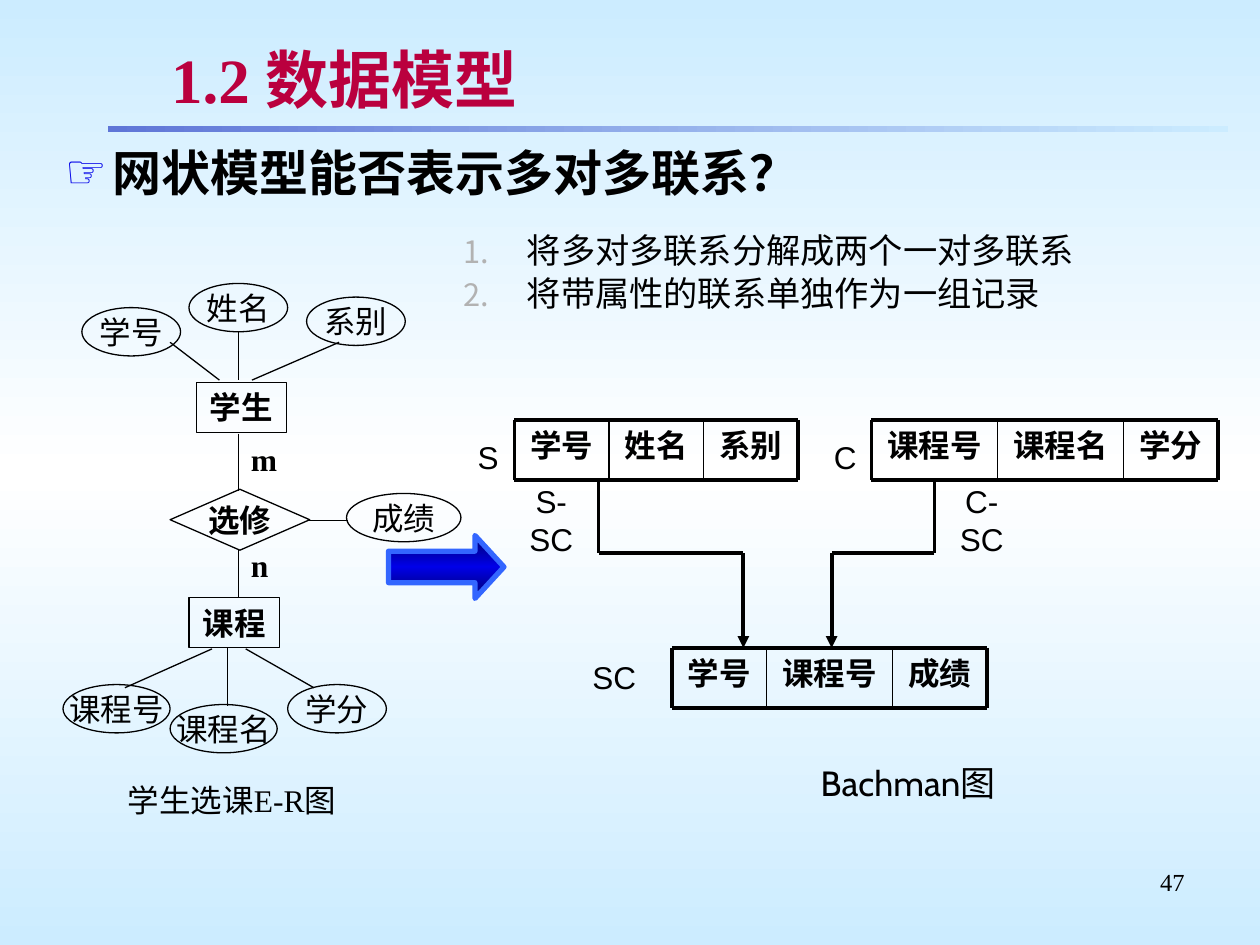
from copy import deepcopy

from lxml.etree import SubElement
from pptx import Presentation
from pptx.dml.color import RGBColor
from pptx.enum.shapes import MSO_CONNECTOR, MSO_SHAPE
from pptx.enum.text import MSO_ANCHOR, MSO_AUTO_SIZE, PP_ALIGN
from pptx.oxml.ns import qn
from pptx.util import Inches, Pt

LEFT, CENTER, RIGHT = PP_ALIGN.LEFT, PP_ALIGN.CENTER, PP_ALIGN.RIGHT
TOP, MIDDLE = MSO_ANCHOR.TOP, MSO_ANCHOR.MIDDLE
RECT, OVAL, DIAMOND, ARROW = (MSO_SHAPE.RECTANGLE, MSO_SHAPE.OVAL,
                              MSO_SHAPE.DIAMOND, MSO_SHAPE.RIGHT_ARROW)

BLACK = RGBColor(0x00, 0x00, 0x00)
WHITE = RGBColor(0xFF, 0xFF, 0xFF)
SKY = RGBColor(0xCC, 0xEC, 0xFF)
PERIWINKLE = RGBColor(0x5F, 0x76, 0xD7)
CRIMSON = RGBColor(0xBA, 0x00, 0x3E)
NAVY = RGBColor(0x00, 0x00, 0x6B)
BLUE = RGBColor(0x00, 0x00, 0xE8)
EDGE_BLUE = RGBColor(0x33, 0x66, 0xFF)
GRAY = RGBColor(0xB2, 0xB2, 0xB2)

SERIF, SANS, ROUND = "Times New Roman", "Arial", "Cabin"
THIN, INNER, THICK = 0.75, 1, 2.25
RECORD_HEIGHT = 5.7


def grid(*units):
    """Lengths on a grid of 120 columns by 90 rows, twelve to the inch."""
    return [Inches(unit / 12) for unit in units]


def set_gradient(fill, element, angle, stops):
    fill.gradient()
    fill.gradient_angle = angle
    stop_list = next(element.iter(qn("a:gsLst")))
    while len(stop_list) < len(stops):
        stop_list.append(deepcopy(stop_list[-1]))
    for stop, (position, color) in zip(fill.gradient_stops, stops):
        stop.position = position
        stop.color.rgb = color


def set_font(para, size, name=SERIF, bold=False, color=BLACK):
    font = para.font
    font.size, font.name, font.bold = Pt(size), name, bold
    font.color.rgb = color


def add_bullet(para, indent, color, size, tag, **marks):
    properties = para._p.get_or_add_pPr()
    properties.set("marL", str(Inches(indent)))
    properties.set("indent", str(-Inches(indent)))
    bullet_color = SubElement(properties, qn("a:buClr"))
    SubElement(bullet_color, qn("a:srgbClr")).set("val", str(color))
    SubElement(properties, qn("a:buSzPct")).set("val", str(size * 1000))
    SubElement(properties, qn(tag)).attrib.update(marks)


def write(box, text, size=18, name=SERIF, bold=False, color=BLACK,
          align=CENTER, anchor=MIDDLE, wrap=False):
    frame = box.text_frame
    frame.word_wrap = wrap
    frame.vertical_anchor = anchor
    para = frame.paragraphs[0]
    para.text = text
    para.alignment = align
    set_font(para, size, name, bold, color)


def add_label(shapes, text, place, **style):
    write(shapes.add_textbox(*grid(*place)), text, **style)


def add_node(shapes, kind, text, place, bold=False):
    node = shapes.add_shape(kind, *grid(*place))
    node.shadow.inherit = False
    node.fill.background()
    node.line.color.rgb = BLACK
    node.line.width = Pt(THIN)
    write(node, text, bold=bold)


def add_line(shapes, ends, width=THIN, arrow=False):
    line = shapes.add_connector(MSO_CONNECTOR.STRAIGHT, *grid(*ends))
    line.line.color.rgb = BLACK
    line.line.width = Pt(width)
    if arrow:
        SubElement(line.line._ln, qn("a:tailEnd")).set("type", "triangle")
    SubElement(line._element.spPr, qn("a:effectLst"))


def add_record(shapes, left, top, fields):
    """A row of fields inside a thick frame, split by thin lines."""
    bottom = top + RECORD_HEIGHT
    edges = [left]
    for text, width in fields:
        add_label(shapes, text, (edges[-1], top, width, RECORD_HEIGHT),
                  bold=True, anchor=TOP, wrap=True)
        edges.append(edges[-1] + width)
    for row in (top, bottom):
        add_line(shapes, (left, row, edges[-1], row), THICK)
    for edge in edges:
        outer = edge in (left, edges[-1])
        add_line(shapes, (edge, top, edge, bottom), THICK if outer else INNER)


def add_link(shapes, start, end, top, turn, bottom):
    """A stepped link between records, with its arrowhead at the end."""
    add_line(shapes, (start, top, start, turn), THICK)
    add_line(shapes, (start, turn, end, turn), THICK)
    add_line(shapes, (end, turn, end, bottom), THICK, arrow=True)


def place_placeholder(box, place):
    box.left, box.top, box.width, box.height = grid(*place)
    box.text_frame.auto_size = MSO_AUTO_SIZE.NONE


def add_heading(page):
    bar = page.shapes.add_shape(RECT, *grid(10.3, 12, 106.7, 0.6))
    bar.shadow.inherit = False
    bar.line.fill.background()
    set_gradient(bar.fill, bar._element, 0, [(0, PERIWINKLE), (1, SKY)])

    title = page.shapes.title
    place_placeholder(title, (15.1, 3.5, 98.9, 8))
    write(title, "1.2 数据模型", 36, bold=True, color=CRIMSON, align=LEFT, wrap=True)
    span = title.text_frame.paragraphs[0].runs[0]
    effects = SubElement(span._r.get_or_add_rPr(), qn("a:effectLst"))
    shadow = SubElement(effects, qn("a:outerShdw"), dist="25400", dir="2700000")
    SubElement(shadow, qn("a:srgbClr")).set("val", "C0C0C0")

    question = page.placeholders[1]
    place_placeholder(question, (5, 13, 111, 7.2))
    para = question.text_frame.paragraphs[0]
    para.space_before = Pt(0)
    add_bullet(para, 0.38, BLUE, 95, "a:buChar", char="☞")
    write(question, "网状模型能否表示多对多联系？", 28, bold=True, align=LEFT,
          anchor=TOP, wrap=True)


def add_steps(page):
    frame = page.shapes.add_textbox(*grid(43, 22, 72, 10)).text_frame
    frame.word_wrap = True
    steps = ("将多对多联系分解成两个一对多联系", "将带属性的联系单独作为一组记录")
    for index, text in enumerate(steps):
        para = frame.add_paragraph() if index else frame.paragraphs[0]
        para.text = text
        para.line_spacing = 0.8
        para.space_before = Pt(5.8 if index else 0)
        add_bullet(para, 0.5, GRAY, 90, "a:buAutoNum", type="arabicPeriod")
        set_font(para, 19.6, SANS)


def add_er_diagram(page):
    shapes = page.shapes.add_group_shape().shapes
    # Entities and their relationship
    add_node(shapes, RECT, "学生", (18.7, 36.4, 8.6, 4.8), bold=True)
    add_node(shapes, DIAMOND, "选修", (16.2, 46.6, 13.3, 5.8), bold=True)
    add_node(shapes, RECT, "课程", (18, 56.9, 8.6, 4.8), bold=True)
    for text, top in (("m", 41.3), ("n", 51.4)):
        add_label(shapes, text, (22.7, top, 4, 4.8), bold=True, align=LEFT)
    # Attributes
    for text, left, top, width in (
            ("学号", 7.8, 29.3, 9.4), ("姓名", 18, 27, 9.4), ("系别", 29.2, 28.3, 9.4),
            ("成绩", 33, 47, 10.9), ("课程号", 6, 65.2, 10.2),
            ("课程名", 16.2, 67.1, 10.2), ("学分", 27.4, 65.2, 9.4)):
        add_node(shapes, OVAL, text, (left, top, width, 4.6))
    for ends in ((16.2, 32.6, 20.9, 36.2), (22.7, 31.6, 22.7, 36.2),
                 (24, 36.2, 32.3, 32.6), (22.7, 41.3, 22.7, 46.8),
                 (29.2, 49.6, 33.1, 49.6), (22.7, 52.3, 22.7, 56.9),
                 (11.9, 65.5, 20.2, 61.8), (21.7, 61.7, 21.7, 67.2),
                 (23.4, 61.8, 29.9, 65.5)):
        add_line(shapes, ends)
    add_label(shapes, "学生选课E-R图", (8.8, 73.4, 26.6, 5.5))


def add_arrow(page):
    arrow = page.shapes.add_shape(ARROW, *grid(37, 51, 11, 6))
    arrow.adjustments[1] = 0.46
    arrow.shadow.inherit = False
    set_gradient(arrow.fill, arrow._element, 90, [(0, NAVY), (0.5, BLUE), (1, NAVY)])
    arrow.line.color.rgb = EDGE_BLUE
    arrow.line.width = Pt(3)


def add_bachman_diagram(page):
    shapes = page.shapes.add_group_shape().shapes
    upper, lower = 40, 61.7
    add_record(shapes, 49, upper, [("学号", 9), ("姓名", 9), ("系别", 9)])
    add_record(shapes, 83, upper, [("课程号", 12), ("课程名", 12), ("学分", 9)])
    add_record(shapes, 64, lower, [("学号", 9), ("课程号", 12), ("成绩", 9)])
    for start, end in ((57, 70.8), (89, 79.2)):
        add_link(shapes, start, end, upper + RECORD_HEIGHT, 52.7, lower)
    for text, left, top in (("S", 43, 41), ("C", 77, 41), ("S-SC", 49, 47),
                            ("C-SC", 90, 47), ("SC", 55, 62)):
        add_label(shapes, text, (left, top, 7, 5), name=SANS)
    add_label(shapes, "Bachman图", (69, 72, 35, 5), size=20, name=ROUND)


def main():
    deck = Presentation()
    deck.slide_width, deck.slide_height = grid(120, 90)
    page = deck.slides.add_slide(deck.slide_layouts[1])
    set_gradient(page.background.fill, page._element, 90,
                 [(0, SKY), (0.5, WHITE), (1, SKY)])
    add_heading(page)
    add_er_diagram(page)
    add_arrow(page)
    add_steps(page)
    add_bachman_diagram(page)
    add_label(page.shapes, "47", (86, 82, 28, 6.2), size=14, align=RIGHT,
              anchor=TOP, wrap=True)
    deck.save("out.pptx")


if __name__ == "__main__":
    main()
